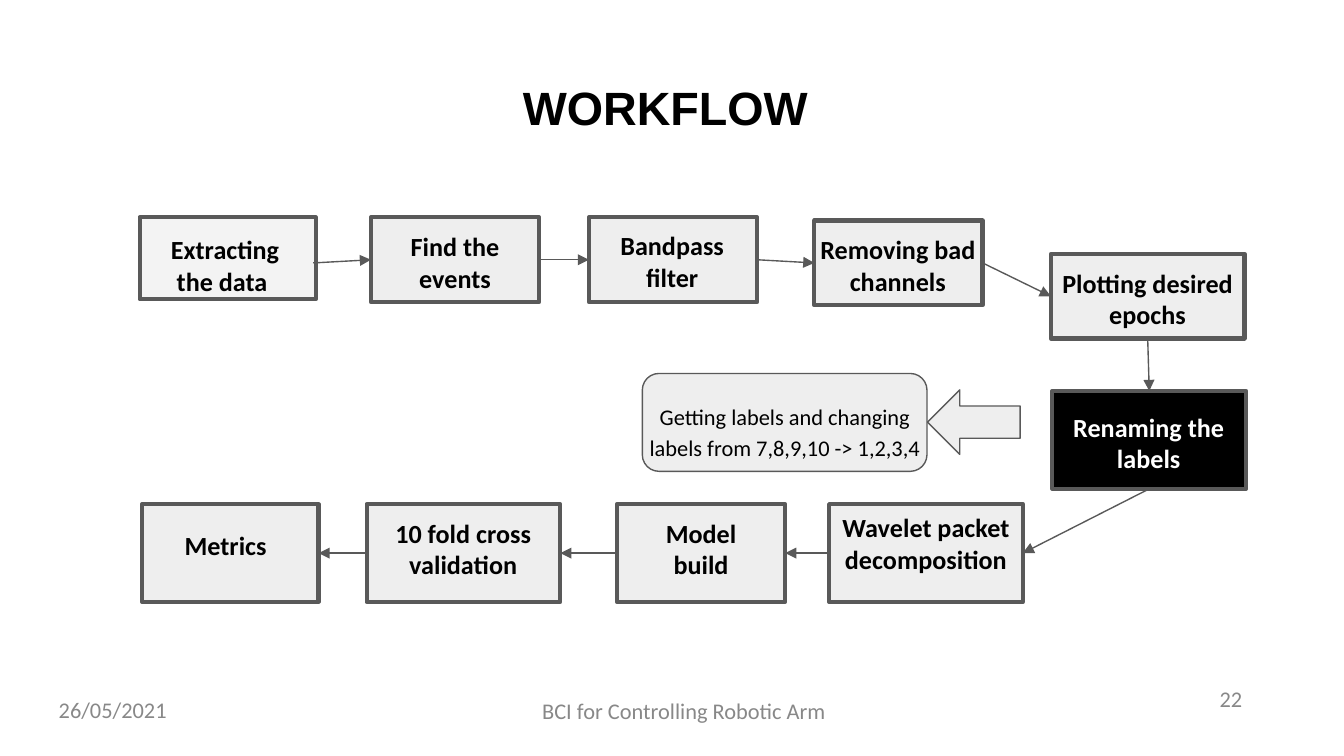
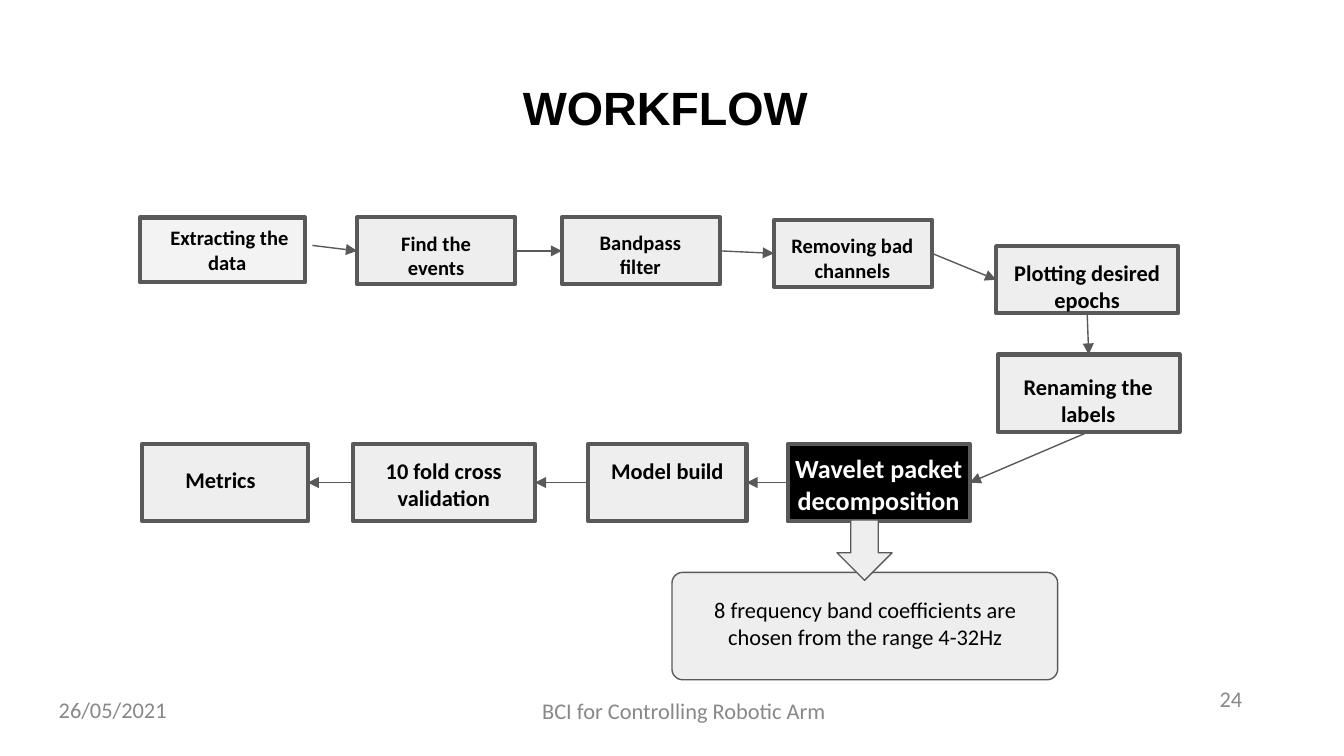
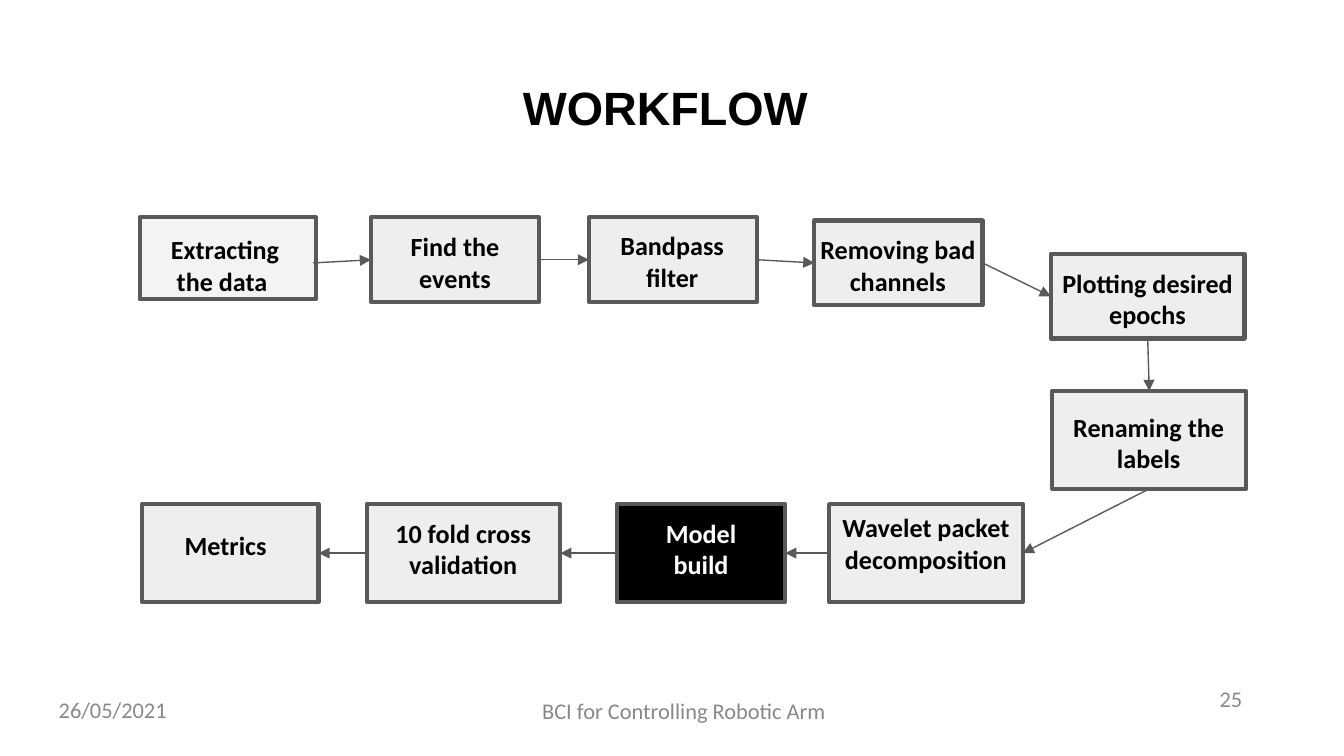
from dataclasses import dataclass

from lxml import etree
from pptx import Presentation
from pptx.dml.color import RGBColor
from pptx.enum import shapes, text
from pptx.oxml import ns
from pptx.util import Cm, Pt

SHAPE, ALIGN, ANCHOR = shapes.MSO_SHAPE, text.PP_ALIGN, text.MSO_ANCHOR
TOP, LEFT, BOTTOM, RIGHT = range(4)


@dataclass(frozen=True)
class Theme:
    ink: str = "000000"
    paper: str = "FFFFFF"
    box: str = "EEEEEE"
    start_box: str = "F3F3F3"
    edge: str = "595959"
    muted: str = "888888"
    title_font: str = "Arial"
    body_font: str = "Calibri"
    title_size: int = 25
    step_size: int = 14
    note_size: int = 12
    box_line: float = 2.25
    thin_line: float = 0.75


T = Theme()

# text, box, label, side entered, side left; lengths in cm as left, top, width, height
STEPS = [
    ("Extracting the data ", (2.64, 4.11, 3.33, 1.55), (2.59, 4.17, 3.33, 1.6), None, RIGHT),
    ("Find the events", (7.01, 4.11, 3.18, 1.6), (7.19, 4.11, 2.82, 1.4), LEFT, RIGHT),
    ("Bandpass filter", (11.13, 4.11, 3.18, 1.6), (11.23, 4.09, 2.95, 1.42), LEFT, RIGHT),
    ("Removing bad channels", (15.39, 4.17, 3.18, 1.6), (15.14, 4.17, 3.66, 1.6), LEFT, RIGHT),
    ("Plotting desired epochs", (19.86, 4.8, 3.66, 1.6), (19.66, 4.8, 4.06, 1.55), LEFT, BOTTOM),
    ("Renaming the labels", (19.89, 7.39, 3.66, 1.85), (19.88, 7.52, 3.66, 1.55), TOP, BOTTOM),
    ("Wavelet packet decomposition", (15.67, 9.53, 3.66, 1.85), (15.47, 9.42, 4.06, 1.6), RIGHT, LEFT),
    ("Model build", (11.66, 9.53, 3.18, 1.85), (11.84, 9.53, 2.82, 1.4), RIGHT, LEFT),
    ("10 fold cross validation", (6.93, 9.53, 3.66, 1.85), (7.09, 9.53, 3.33, 1.85), RIGHT, LEFT),
    ("Metrics", (2.69, 9.53, 3.33, 1.85), (3.07, 9.75, 2.39, 1.4), RIGHT, None),
]
ORIGIN = (2.64, 4.11)
TOP_ROW = 4

FULL = dict(scale=(1, 1), start_shift=(0, 0), row_sizes=(14, 14))
COMPACT = dict(scale=(0.94, 0.79), start_shift=(0.18, -0.15), row_sizes=(11, 12))

SLIDES = [
    dict(number="22", current="Renaming the labels", layout=FULL, callout=dict(
        text="Getting labels and changing labels from 7,8,9,10 -> 1,2,3,4",
        box=(12.14, 7.06, 5.38, 1.85), corner=0.17, label=(11.99, 7.29, 5.69, 1.4),
        arrow=SHAPE.LEFT_ARROW, arrow_at=(17.53, 7.37, 1.75, 1.22), spacing=1.15)),
    dict(number="24", current="Wavelet packet decomposition", layout=COMPACT, callout=dict(
        text="8 frequency band coefficients are chosen from the range 4-32Hz",
        box=(12.7, 10.82, 7.29, 2.03), corner=0.1, label=(12.95, 11.02, 6.81, 1.6),
        arrow=SHAPE.DOWN_ARROW, arrow_at=(15.82, 9.83, 1.04, 1.14), spacing=1)),
    dict(number="25", current="Model build", layout=FULL, callout=None),
]


def rgb(color):
    return RGBColor.from_string(color)


def write(shape, words, size, color=T.ink, bold=False, font=T.body_font,
          align=ALIGN.CENTER, anchor=ANCHOR.TOP, margin=0.25, spacing=None):
    tf = shape.text_frame
    tf.text = words
    tf.word_wrap = True
    tf.auto_size = text.MSO_AUTO_SIZE.NONE
    tf.vertical_anchor = anchor
    tf.margin_left = tf.margin_right = Cm(0.25)
    tf.margin_top = tf.margin_bottom = Cm(margin)
    p = tf.paragraphs[0]
    p.alignment = align
    p.line_spacing = spacing
    p.font.name, p.font.size, p.font.bold = font, Pt(size), bold
    p.font.color.rgb = rgb(color)


def add_label(s, at, words, size, **style):
    label = s.shapes.add_textbox(*map(Cm, at))
    write(label, words, size, **style)
    return label


def add_block(s, kind, at, fill=T.box, line=T.thin_line):
    block = s.shapes.add_shape(kind, *map(Cm, at))
    block.shadow.inherit = False
    block.fill.solid()
    block.fill.fore_color.rgb = rgb(fill)
    block.line.color.rgb = rgb(T.edge)
    block.line.width = Pt(line)
    return block


def add_arrow(s, start, start_side, end, end_side):
    c = s.shapes.add_connector(shapes.MSO_CONNECTOR.STRAIGHT, 0, 0, 0, 0)
    c.begin_connect(start, start_side)
    c.end_connect(end, end_side)
    c.line.color.rgb = rgb(T.edge)
    c.line.width = Pt(T.thin_line)
    etree.SubElement(c.line._get_or_add_ln(), ns.qn("a:tailEnd"), type="triangle")
    etree.SubElement(c._element.spPr, ns.qn("a:effectLst"))


def place(at, scale):
    """Scale a rectangle about the top left corner of the flow."""
    x, y, w, h = at
    (sx, sy), (ox, oy) = scale, ORIGIN
    return ox + (x - ox) * sx, oy + (y - oy) * sy, w * sx, h * sy


def add_flow(s, current, layout):
    scale, (dx, dy) = layout["scale"], layout["start_shift"]
    previous = None
    arrows = []
    for i, (words, box_at, label_at, side_in, side_out) in enumerate(STEPS):
        active = words == current
        fill = T.ink if active else T.box if i else T.start_box
        box = add_block(s, SHAPE.RECTANGLE, place(box_at, scale), fill, T.box_line)
        x, y, w, h = place(label_at, scale)
        if i == 0:
            x, y = x + dx, y + dy
        size = T.step_size if active else layout["row_sizes"][i >= TOP_ROW]
        label = add_label(s, (x, y, w, h), words, size, bold=True,
                          color=T.paper if active else T.ink)
        if previous:
            arrows.append((*previous, box, side_in))
        previous = (box if i else label, side_out)
    for arrow in arrows:
        add_arrow(s, *arrow)


def add_callout(s, callout):
    box = add_block(s, SHAPE.ROUNDED_RECTANGLE, callout["box"])
    box.adjustments[0] = callout["corner"]
    add_block(s, callout["arrow"], callout["arrow_at"])
    add_label(s, callout["label"], callout["text"], T.note_size, spacing=callout["spacing"])


def add_frame(s, number):
    """Title, page number, date and footer."""
    title = s.shapes.title
    title.left, title.top, title.width, title.height = map(Cm, (0.86, 1.24, 23.67, 1.6))
    write(title, "WORKFLOW ", T.title_size, bold=True, font=T.title_font)
    for words, at, align, anchor, margin in [
        (number, (17.81, 12.7, 5.92, 1.02), ALIGN.RIGHT, ANCHOR.MIDDLE, 0.13),
        ("26/05/2021", (0.86, 12.9, 5.92, 1.02), ALIGN.LEFT, ANCHOR.MIDDLE, 0.13),
        ("BCI for Controlling Robotic Arm ", (8.81, 12.93, 8.33, 1.02),
         ALIGN.CENTER, ANCHOR.TOP, 0.25),
    ]:
        add_label(s, at, words, T.note_size, color=T.muted,
                  align=align, anchor=anchor, margin=margin)


def main():
    prs = Presentation()
    prs.slide_width, prs.slide_height = Cm(25.4), Cm(14.29)
    title_only = prs.slide_layouts[5]
    for page in SLIDES:
        s = prs.slides.add_slide(title_only)
        add_frame(s, page["number"])
        add_flow(s, page["current"], page["layout"])
        if page["callout"]:
            add_callout(s, page["callout"])
    prs.save("out.pptx")


if __name__ == "__main__":
    main()
